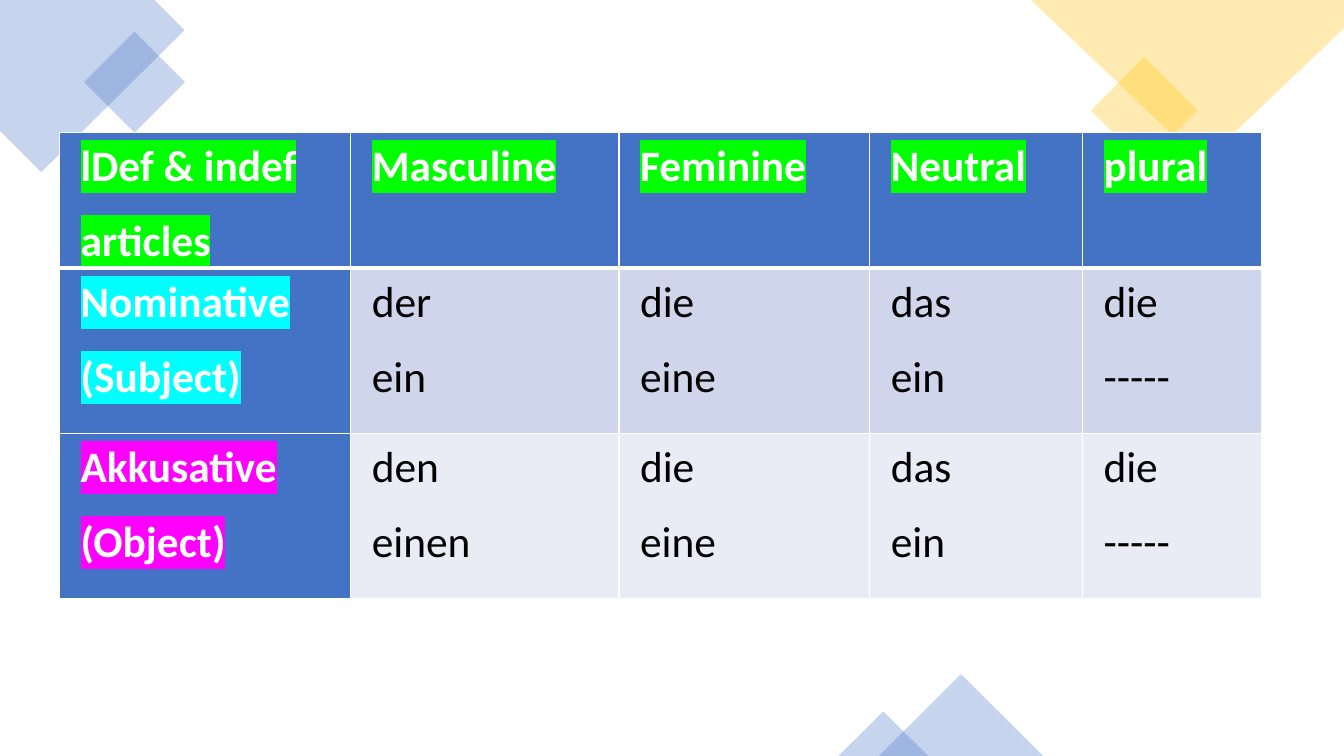
from lxml import etree
from pptx import Presentation
from pptx.dml.color import RGBColor
from pptx.enum.shapes import MSO_SHAPE
from pptx.oxml.ns import qn
from pptx.util import Cm, Pt

BLUE = RGBColor(0x44, 0x72, 0xC4)
GOLD = RGBColor(0xFF, 0xC0, 0x00)
WHITE = RGBColor(0xFF, 0xFF, 0xFF)
BLACK = RGBColor(0x00, 0x00, 0x00)
GREEN = RGBColor(0x00, 0xFF, 0x00)
CYAN = RGBColor(0x00, 0xFF, 0xFF)
MAGENTA = RGBColor(0xFF, 0x00, 0xFF)
BAND_DARK = RGBColor(0xCF, 0xD5, 0xEA)
BAND_LIGHT = RGBColor(0xE9, 0xEB, 0xF5)

WIDTH, HEIGHT = 33.87, 19.05
COLUMN_WIDTHS = (7.34, 6.76, 6.32, 5.36, 4.52)
ROW_HEIGHTS = (3.18, 4.17, 4.17)
ARTICLES = (
    ("lDef & indef\narticles", "Masculine", "Feminine", "Neutral", "plural"),
    ("Nominative\n(Subject)", "der\nein", "die\neine", "das\nein", "die\n-----"),
    ("Akkusative\n(Object)", "den\neinen", "die\neine", "das\nein", "die\n-----"),
)
LABEL_HIGHLIGHTS = (GREEN, CYAN, MAGENTA)
ROW_FILLS = (BLUE, BAND_DARK, BAND_LIGHT)


def add_color(parent, color):
    """Append an sRGB colour element and return it."""
    return etree.SubElement(parent, qn("a:srgbClr"), val=str(color))


def tint(shape, color):
    """Fill a decoration with a 30 % opaque colour and no outline."""
    shape.shadow.inherit = False
    shape.fill.solid()
    shape.fill.fore_color.rgb = color
    shape.line.fill.background()
    color_element = shape.fill._xPr.find(qn("a:solidFill"))[0]
    etree.SubElement(color_element, qn("a:alpha"), val="30000")


def add_polygon(slide, points, color):
    corners = [(Cm(x), Cm(y)) for x, y in points]
    builder = slide.shapes.build_freeform(*corners[0], scale=1.0)
    builder.add_line_segments(corners[1:], close=True)
    tint(builder.convert_to_shape(), color)


def add_preset(slide, kind, box, color, rotation=0):
    shape = slide.shapes.add_shape(kind, *(Cm(length) for length in box))
    shape.rotation = rotation
    tint(shape, color)


def add_corner_decorations(slide, width):
    add_polygon(slide, [(3.89, 0), (0, 0), (0, 3.3), (1.04, 4.34), (4.65, 0.76)], BLUE)
    add_preset(slide, MSO_SHAPE.RECTANGLE, (2.49, 1.17, 1.8, 1.8), BLUE, 315)
    add_preset(slide, MSO_SHAPE.RECTANGLE, (width - 5.98, 1.83, 1.9, 1.9), GOLD, 315)
    add_polygon(slide, [(width, 0), (width - 7.89, 0), (width - 3.57, 4.11),
                        (width, 0.71)], GOLD)


def add_bottom_decorations(slide, bottom):
    for left, width, height in ((22.15, 4.14, 2.06), (21.13, 2.26, 1.12)):
        add_preset(slide, MSO_SHAPE.ISOSCELES_TRIANGLE,
                   (left, bottom - height, width, height), BLUE)


def write_text(frame, content, size=31, color=BLACK, bold=False, highlight=None):
    """Write one paragraph for each line of content."""
    for index, line in enumerate(content.split("\n")):
        paragraph = frame.paragraphs[0] if index == 0 else frame.add_paragraph()
        paragraph.line_spacing = 1.15
        paragraph.space_after = Pt(10)
        run = paragraph.add_run()
        run.text = line
        font = run.font
        font.size, font.bold = Pt(size), bold
        font.color.rgb = color
        if highlight is not None:
            mark = etree.Element(qn("a:highlight"))
            add_color(mark, highlight)
            font._element.find(qn("a:solidFill")).addnext(mark)
        font.name = "Calibri"


def set_borders(cell, **widths):
    """Draw white borders; widths are points for sides L, R, T and B."""
    properties = cell._tc.get_or_add_tcPr()
    for side in "LRTB":
        line = etree.SubElement(properties, qn(f"a:ln{side}"),
                                w=str(Pt(widths.get(side, 1))))
        add_color(etree.SubElement(line, qn("a:solidFill")), WHITE)


def format_cell(cell, fill):
    cell.margin_left = cell.margin_right = Cm(0.53)
    cell.margin_top = cell.margin_bottom = 0
    cell.fill.solid()
    cell.fill.fore_color.rgb = fill


def add_article_table(slide, left, top):
    frame = slide.shapes.add_table(
        len(ROW_HEIGHTS), len(COLUMN_WIDTHS), Cm(left), Cm(top),
        Cm(sum(COLUMN_WIDTHS)), Cm(sum(ROW_HEIGHTS)))
    table = frame.table
    table.first_col = True
    for column, width in zip(table.columns, COLUMN_WIDTHS):
        column.width = Cm(width)
    for row_index, words in enumerate(ARTICLES):
        table.rows[row_index].height = Cm(ROW_HEIGHTS[row_index])
        for column_index, word in enumerate(words):
            cell = table.cell(row_index, column_index)
            is_label = row_index == 0 or column_index == 0
            set_borders(cell, T=3 if row_index == 1 else 1,
                        B=3 if row_index == 0 else 1)
            format_cell(cell, BLUE if is_label else ROW_FILLS[row_index])
            if is_label:
                write_text(cell.text_frame, word, color=WHITE, bold=True,
                           highlight=LABEL_HIGHLIGHTS[row_index])
            else:
                write_text(cell.text_frame, word)


def main():
    presentation = Presentation()
    presentation.slide_width = Cm(WIDTH)
    presentation.slide_height = Cm(HEIGHT)
    slide = presentation.slides.add_slide(presentation.slide_layouts[6])
    add_corner_decorations(slide, WIDTH)
    add_bottom_decorations(slide, HEIGHT)
    add_article_table(slide, left=1.5, top=3.33)
    presentation.save("out.pptx")


if __name__ == "__main__":
    main()
